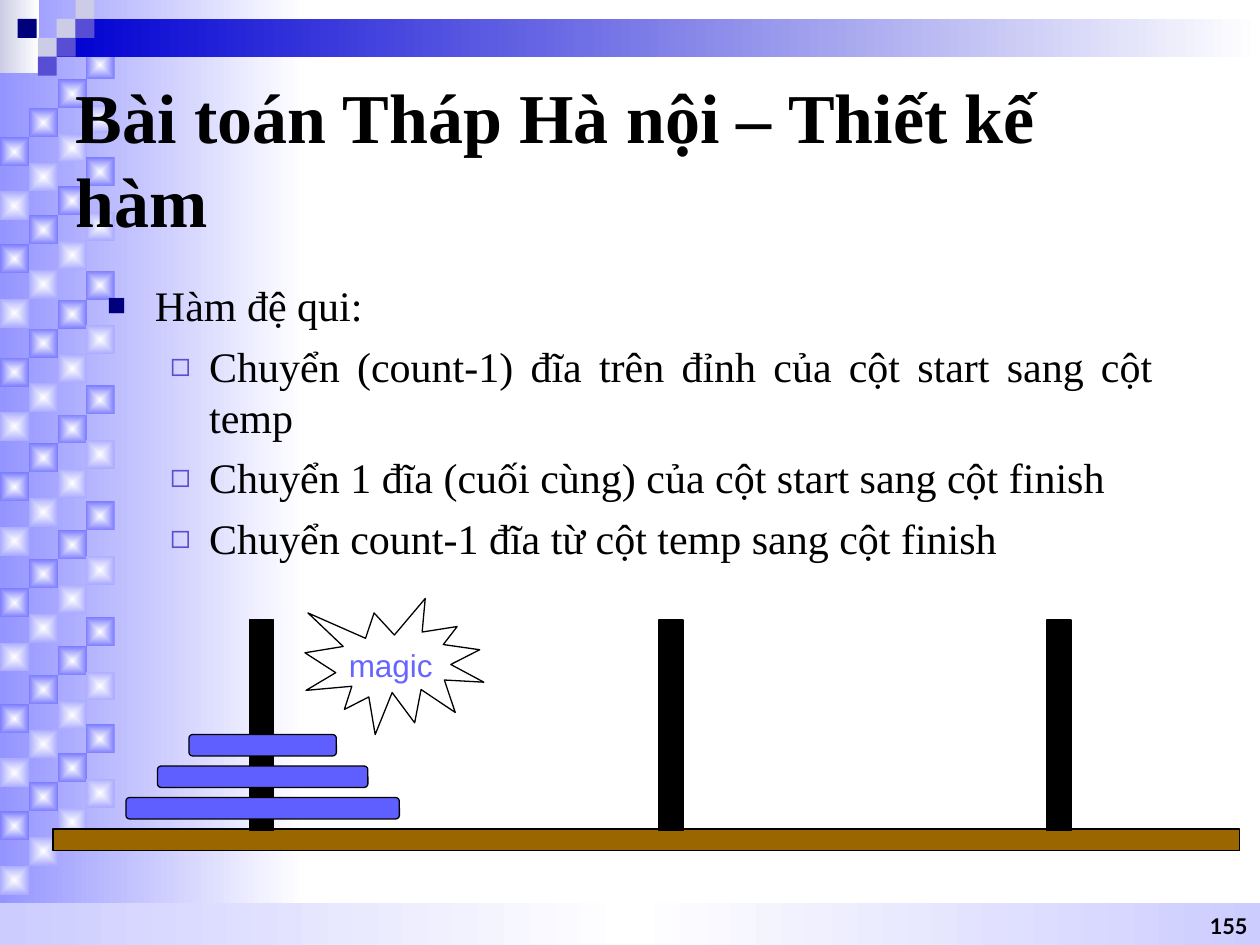
from pptx import Presentation
from pptx.dml.color import RGBColor
from pptx.enum.shapes import MSO_SHAPE as Shape
from pptx.enum.text import MSO_ANCHOR as Anchor, MSO_AUTO_SIZE as AutoSize, PP_ALIGN as Align
from pptx.oxml import parse_xml
from pptx.oxml.ns import nsdecls
from pptx.util import Inches, Pt

COLORS = {
    "text": "000000", "white": "FFFFFF", "panel": "9595FF",
    "tile_dark": "7D7DFF", "tile_light": "ABABFF", "footer": "CCCCFF",
    "pale": "CCCCE6", "banner": "0000D2", "violet": "584ED4", "navy": "00007D",
    "wood": "996600", "disk": "5F5FFF", "magic": "6666FF",
}
LINEAR = '<a:lin ang="0" scaled="1"/>'
CENTERED = ('<a:path path="rect"><a:fillToRect l="50000" t="50000" '
            'r="50000" b="50000"/></a:path>')
SERIF = "Times New Roman"


def rgb(color):
    return RGBColor.from_string(COLORS[color])


def add_block(slide, box, color=None, outlined=False, kind=Shape.RECTANGLE):
    block = slide.shapes.add_shape(kind, *map(Inches, box))
    block.shadow.inherit = False
    if color:
        block.fill.solid()
        block.fill.fore_color.rgb = rgb(color)
    else:
        block.fill.background()
    if outlined:
        block.line.color.rgb = rgb("text")
        block.line.width = Pt(0.75)
    else:
        block.line.fill.background()
    return block


def add_gradient_block(slide, box, colors, direction=LINEAR):
    block = add_block(slide, box, colors[0])
    last = len(colors) - 1
    stops = "".join(
        f'<a:gs pos="{100000 * i // last}"><a:srgbClr val="{COLORS[color]}"/></a:gs>'
        for i, color in enumerate(colors))
    gradient = parse_xml(f'<a:gradFill {nsdecls("a")} rotWithShape="1">'
                         f'<a:gsLst>{stops}</a:gsLst>{direction}</a:gradFill>')
    properties = block.element.spPr
    solid = properties.find("{*}solidFill")
    properties.replace(solid, gradient)


def add_tiles(slide):
    columns = [0.68, 0.46, 0.23, 0]
    for top in [0.4, 1.25, 2.15, 3.06, 3.98, 4.9, 5.75]:
        for offset, color in [(0, "tile_dark"), (0.43, "tile_light")]:
            for step, left in enumerate(columns):
                box = (left, top + offset + 0.23 * step, 0.23, 0.23)
                add_gradient_block(slide, box, ["white", color], CENTERED)


def add_backdrop(slide):
    add_gradient_block(slide, (0, 0, 2.42, 7.5), ["panel", "white"])
    add_tiles(slide)
    add_gradient_block(slide, (0, 7.17, 10, 0.33), ["footer", "white", "footer"])
    add_gradient_block(slide, (0, 0, 0.31, 0.58), ["pale", "white"])
    add_gradient_block(slide, (0.45, 0.15, 9.55, 0.3), ["banner", "white"])
    for left, top, color in [
        (0.45, 0.15, "pale"), (0.6, 0, "pale"), (0.6, 0.15, "violet"),
        (0.3, 0.3, "pale"), (0.14, 0.15, "navy"), (0.45, 0.3, "violet"),
        (0.3, 0.45, "violet"),
    ]:
        add_block(slide, (left, top, 0.15, 0.15), color)


def place(holder, box):
    holder.left, holder.top, holder.width, holder.height = map(Inches, box)
    holder.text_frame.auto_size = AutoSize.NONE
    holder.element.getparent().append(holder.element)


def style_runs(paragraph, size, font, color="text", bold=False):
    for run in paragraph.runs:
        run.font.size = Pt(size)
        run.font.name = font
        run.font.bold = bold
        run.font.color.rgb = rgb(color)


def add_label(slide, box, text, size, font, color="text", bold=False):
    label = slide.shapes.add_textbox(*map(Inches, box)).text_frame
    label.text = text
    style_runs(label.paragraphs[0], size, font, color, bold)
    return label


def fill_title(slide, text):
    title = slide.shapes.title
    place(title, (0.5, 0.5, 9, 1.5))
    frame = title.text_frame
    frame.text = text
    frame.vertical_anchor = Anchor.MIDDLE
    frame.margin_right = Inches(0.15)
    frame.paragraphs[0].alignment = Align.LEFT
    style_runs(frame.paragraphs[0], 40, SERIF, bold=True)


def set_bullet(paragraph, symbol, color, percent, indent, hanging):
    properties = paragraph._p.get_or_add_pPr()
    properties.set("marL", str(Inches(indent)))
    properties.set("indent", str(-Inches(hanging)))
    for tag in [
        f'<a:buClr {nsdecls("a")}><a:srgbClr val="{COLORS[color]}"/></a:buClr>',
        f'<a:buSzPct {nsdecls("a")} val="{percent * 1000}"/>',
        f'<a:buChar {nsdecls("a")} char="{symbol}"/>',
    ]:
        properties.append(parse_xml(tag))


def fill_steps(slide, heading, steps):
    body = slide.placeholders[1]
    place(body, (0.75, 2.17, 8.5, 4.5))
    frame = body.text_frame
    frame.text = "\n".join([heading, *steps])
    for i, paragraph in enumerate(frame.paragraphs):
        paragraph.alignment = Align.JUSTIFY
        paragraph.space_before = Pt(6 if i else 0)
        if i:
            paragraph.level = 1
            set_bullet(paragraph, "◻", "violet", 80, 0.81, 0.31)
        else:
            set_bullet(paragraph, "■", "navy", 75, 0.38, 0.38)
        style_runs(paragraph, 24, SERIF)


def add_tower(slide):
    add_block(slide, (0.42, 6.58, 9.42, 0.17), "wood", outlined=True)
    for left in [1.98, 5.23, 8.31]:
        add_block(slide, (left, 4.92, 0.19, 1.67), "text", outlined=True)
    for level in range(3):
        box = (1 + 0.25 * level, 6.33 - 0.25 * level, 2.17 - 0.5 * level, 0.17)
        add_block(slide, box, "disk", True, Shape.ROUNDED_RECTANGLE)


def add_magic(slide):
    magic = add_label(slide, (2.67, 5.08, 0.9, 0.4), "magic", 18, "Arial", "magic")
    magic.word_wrap = False
    magic.auto_size = AutoSize.SHAPE_TO_FIT_TEXT
    magic.margin_right = Inches(0.05)
    add_block(slide, (2.42, 4.75, 1.42, 1.08), outlined=True, kind=Shape.EXPLOSION1)


def add_page_number(slide, number):
    page = add_label(slide, (7.67, 7.17, 2.33, 0.33), number, 12.4, "Lato", bold=True)
    page.word_wrap = True
    page.vertical_anchor = Anchor.BOTTOM
    page.paragraphs[0].alignment = Align.RIGHT
    page.paragraphs[0].line_spacing = 0.8


def main():
    deck = Presentation()
    deck.slide_width, deck.slide_height = Inches(10), Inches(7.5)
    slide = deck.slides.add_slide(deck.slide_layouts[1])
    add_backdrop(slide)
    add_page_number(slide, "155")
    fill_title(slide, "Bài toán Tháp Hà nội – Thiết kế hàm")
    fill_steps(slide, "Hàm đệ qui:", [
        "Chuyển (count-1) đĩa trên đỉnh của cột start sang cột temp",
        "Chuyển 1 đĩa (cuối cùng) của cột start sang cột finish",
        "Chuyển count-1 đĩa từ cột temp sang cột finish",
    ])
    add_tower(slide)
    add_magic(slide)
    deck.save("out.pptx")


if __name__ == "__main__":
    main()
